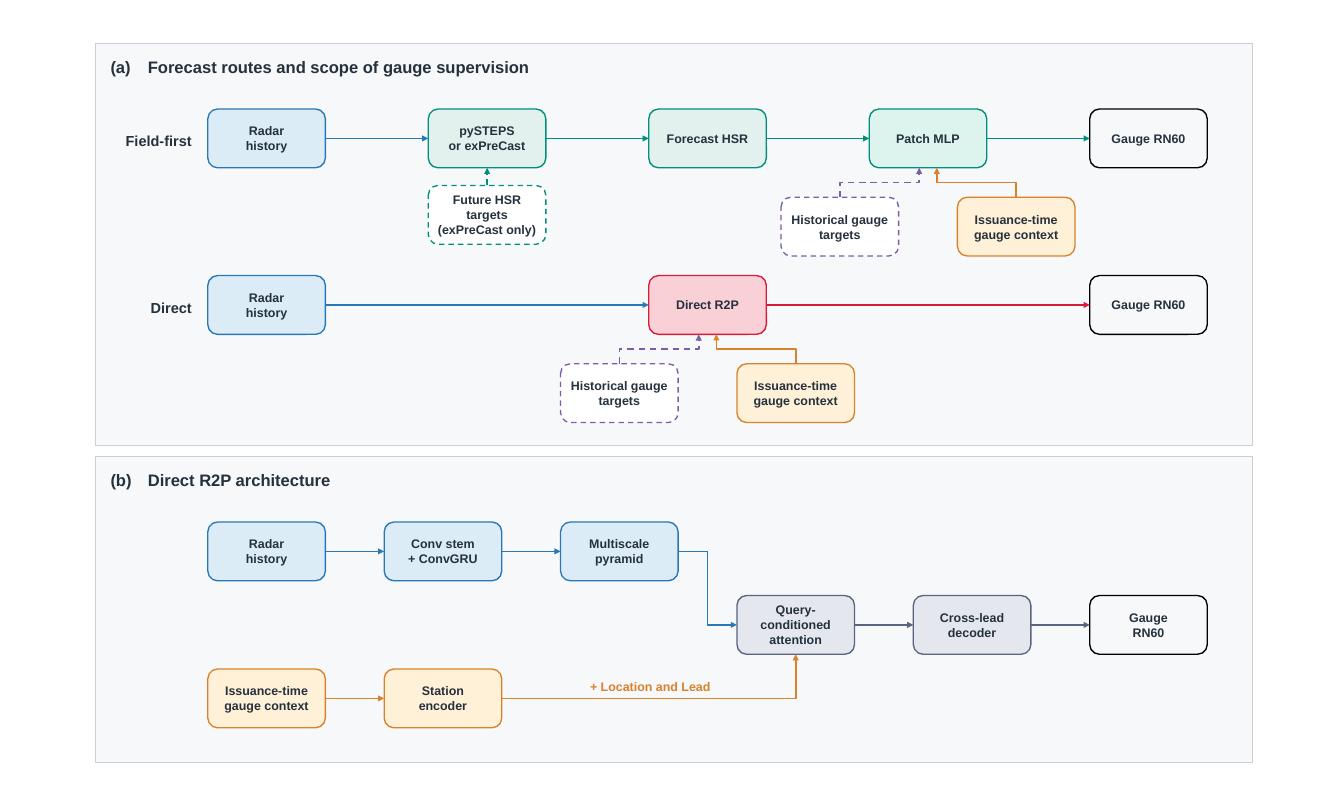
"""Draw the gauge forecast routes and the Direct R2P architecture."""
from lxml import etree
from pptx import Presentation, util as u
from pptx.dml.color import RGBColor
from pptx.enum import dml, shapes, text
from pptx.oxml.ns import qn

INK, BLUE, GREEN, RED = "25313C", "2878B5", "008F7A", "D81B3A"
ORANGE, PURPLE, SLATE, PANEL = "D9822B", "7B5EA7", "59647F", "F7F8FA"
STEP = u.Cm(0.5)
FIRST_COLUMN = u.Cm(7.07)
BOX_WIDTH, BOX_HEIGHT = 8 * STEP, 4 * STEP
LANES = {"field": u.Inches(1.46), "direct": u.Inches(3.69), "design": u.Inches(6.99)}


def stroke(line, colour, width, dashed=False):
    line.color.rgb = RGBColor.from_string(colour)
    line.width = u.Pt(width)
    if dashed:
        line.dash_style = dml.MSO_LINE.DASH


def write(shape, words, size, align, margin=0, colour=INK):
    frame = shape.text_frame
    frame.word_wrap = True
    frame.vertical_anchor = text.MSO_ANCHOR.MIDDLE
    frame.margin_left = frame.margin_right = u.Inches(margin)
    frame.margin_top = frame.margin_bottom = u.Inches(margin)
    frame.text = words
    for paragraph in frame.paragraphs:
        paragraph.alignment = align
        paragraph.font.name = "Arial"
        paragraph.font.size = u.Pt(size)
        paragraph.font.bold = True
        paragraph.font.color.rgb = RGBColor.from_string(colour)


deck = Presentation()
deck.slide_width, deck.slide_height = u.Inches(18), u.Inches(10.86)
canvas = deck.slides.add_slide(deck.slide_layouts[6]).shapes
LEFT, CENTER, RIGHT = text.PP_ALIGN.LEFT, text.PP_ALIGN.CENTER, text.PP_ALIGN.RIGHT

for top, height in [(0.58, 5.38), (6.11, 4.1)]:
    panel = canvas.add_shape(shapes.MSO_SHAPE.ROUNDED_RECTANGLE,
                             *map(u.Inches, (1.28, top, 15.5, height)))
    panel.adjustments[0] = 0
    panel.shadow.inherit = False
    panel.fill.solid()
    panel.fill.fore_color.rgb = RGBColor.from_string(PANEL)
    stroke(panel.line, "C8CFD6", 1)

for words, left, top, width, height, size, align, colour in [
    ("(a)", 1.48, 0.72, 0.48, 0.34, 16, LEFT, INK),
    ("Forecast routes and scope of gauge supervision", 1.98, 0.72, 11.81, 0.34, 16, LEFT, INK),
    ("Field-first", 1.55, 1.72, 1.02, 0.34, 14, RIGHT, INK),
    ("Direct", 1.55, 3.95, 1.02, 0.34, 14, RIGHT, INK),
    ("(b)", 1.48, 6.26, 0.48, 0.34, 16, LEFT, INK),
    ("Direct R2P architecture", 1.98, 6.26, 11.81, 0.34, 16, LEFT, INK),
    ("+ Location and Lead", 7.57, 9.04, 2.28, 0.3, 12, CENTER, ORANGE),
]:
    label = canvas.add_textbox(*map(u.Inches, (left, top, width, height)))
    write(label, words, size, align, colour=colour)

radar = ("Radar\nhistory", "DCECF7", BLUE)
context = ("Issuance-time\ngauge context", "FFF0D8", ORANGE)
targets = ("Historical gauge\ntargets", "FFFFFF", PURPLE)
gauge = ("Gauge RN60", PANEL, "000000")
stages = {}
for key, lane, column, row, (words, fill, edge) in [
    ("field radar", "field", 0, 0, radar),
    ("nowcast", "field", 15, 0, ("pySTEPS\nor exPreCast", "E2F1EE", GREEN)),
    ("forecast", "field", 30, 0, ("Forecast HSR", "E2F1EE", GREEN)),
    ("patch", "field", 45, 0, ("Patch MLP", "DDF3EE", GREEN)),
    ("field gauge", "field", 60, 0, gauge),
    ("field context", "field", 51, 6, context),
    ("field targets", "field", 39, 6, targets),
    ("future", "field", 15, 5.2, ("Future HSR\ntargets\n(exPreCast only)", "FFFFFF", GREEN)),
    ("direct radar", "direct", 0, 0, radar),
    ("direct", "direct", 30, 0, ("Direct R2P", "F9D0D6", RED)),
    ("direct gauge", "direct", 60, 0, gauge),
    ("direct context", "direct", 36, 6, context),
    ("direct targets", "direct", 24, 6, targets),
    ("design radar", "design", 0, 0, radar),
    ("stem", "design", 12, 0, ("Conv stem\n+ ConvGRU", "DCECF7", BLUE)),
    ("pyramid", "design", 24, 0, ("Multiscale\npyramid", "DCECF7", BLUE)),
    ("design context", "design", 0, 10, context),
    ("station", "design", 12, 10, ("Station\nencoder", "FFF0D8", ORANGE)),
    ("attention", "design", 36, 5, ("Query-\nconditioned\nattention", "E5E7EE", SLATE)),
    ("decoder", "design", 48, 5, ("Cross-lead\ndecoder", "E5E7EE", SLATE)),
    ("design gauge", "design", 60, 5, ("Gauge\nRN60", PANEL, "000000")),
]:
    stage = canvas.add_shape(
        shapes.MSO_SHAPE.ROUNDED_RECTANGLE, FIRST_COLUMN + column * STEP,
        LANES[lane] + int(row * STEP), BOX_WIDTH, BOX_HEIGHT)
    stage.shadow.inherit = False
    stage.fill.solid()
    stage.fill.fore_color.rgb = RGBColor.from_string(fill)
    stroke(stage.line, edge, 1.3, fill == "FFFFFF")
    write(stage, words, 12, CENTER, 0.04)
    stages[key] = stage

arrows = []
for source, target, colour in [
    ("field radar", "nowcast", BLUE),
    ("nowcast", "forecast", GREEN),
    ("forecast", "patch", GREEN),
    ("patch", "field gauge", GREEN),
    ("future", "nowcast", GREEN),
    ("direct radar", "direct", BLUE),
    ("direct", "direct gauge", RED),
    ("design radar", "stem", BLUE),
    ("stem", "pyramid", BLUE),
    ("design context", "station", ORANGE),
    ("attention", "decoder", SLATE),
    ("decoder", "design gauge", SLATE),
]:
    rising = source == "future"
    arrow = canvas.add_connector(shapes.MSO_CONNECTOR.STRAIGHT, 0, 0, 0, 0)
    arrow.begin_connect(stages[source], 0 if rising else 3)
    arrow.end_connect(stages[target], 2 if rising else 1)
    arrows.append((arrow, colour, rising))

for source, target, shift, colour in [
    ("direct context", "direct", 0.6, ORANGE),
    ("field context", "patch", 0.6, ORANGE),
    ("direct targets", "direct", -0.6, PURPLE),
    ("field targets", "patch", -0.6, PURPLE),
]:
    start, end = stages[source], stages[target]
    start_x = start.left + BOX_WIDTH // 2
    end_x = end.left + BOX_WIDTH // 2 + int(shift * STEP)
    end_y = end.top + BOX_HEIGHT
    middle_x, middle_y = (start_x + end_x) // 2, (start.top + end_y) // 2
    half_run, half_rise = (end_x - start_x) // 2, (start.top - end_y) // 2
    arrow = canvas.add_connector(
        shapes.MSO_CONNECTOR.ELBOW, middle_x - half_rise, middle_y - half_run,
        middle_x + half_rise, middle_y + half_run)
    arrow._element.spPr.find(qn("a:xfrm")).set("rot", str(270 * 60000))
    arrows.append((arrow, colour, colour == PURPLE))

pyramid, attention, station = (stages[key] for key in ("pyramid", "attention", "station"))
fusion = canvas.add_connector(
    shapes.MSO_CONNECTOR.ELBOW, pyramid.left + BOX_WIDTH, pyramid.top + BOX_HEIGHT // 2,
    attention.left, attention.top + BOX_HEIGHT // 2)
query = canvas.add_connector(
    shapes.MSO_CONNECTOR.ELBOW, station.left + BOX_WIDTH, station.top + BOX_HEIGHT // 2,
    attention.left + BOX_WIDTH // 2, attention.top + BOX_HEIGHT)
query._element.spPr.find(qn("a:prstGeom")).set("prst", "bentConnector2")
arrows += [(fusion, BLUE, False), (query, ORANGE, False)]

for arrow, colour, dashed in arrows:
    stroke(arrow.line, colour, 1.55, dashed)
    properties = arrow._element.spPr
    etree.SubElement(properties.find(qn("a:ln")), qn("a:tailEnd"), type="triangle")
    etree.SubElement(properties, qn("a:effectLst"))

deck.save("out.pptx")
